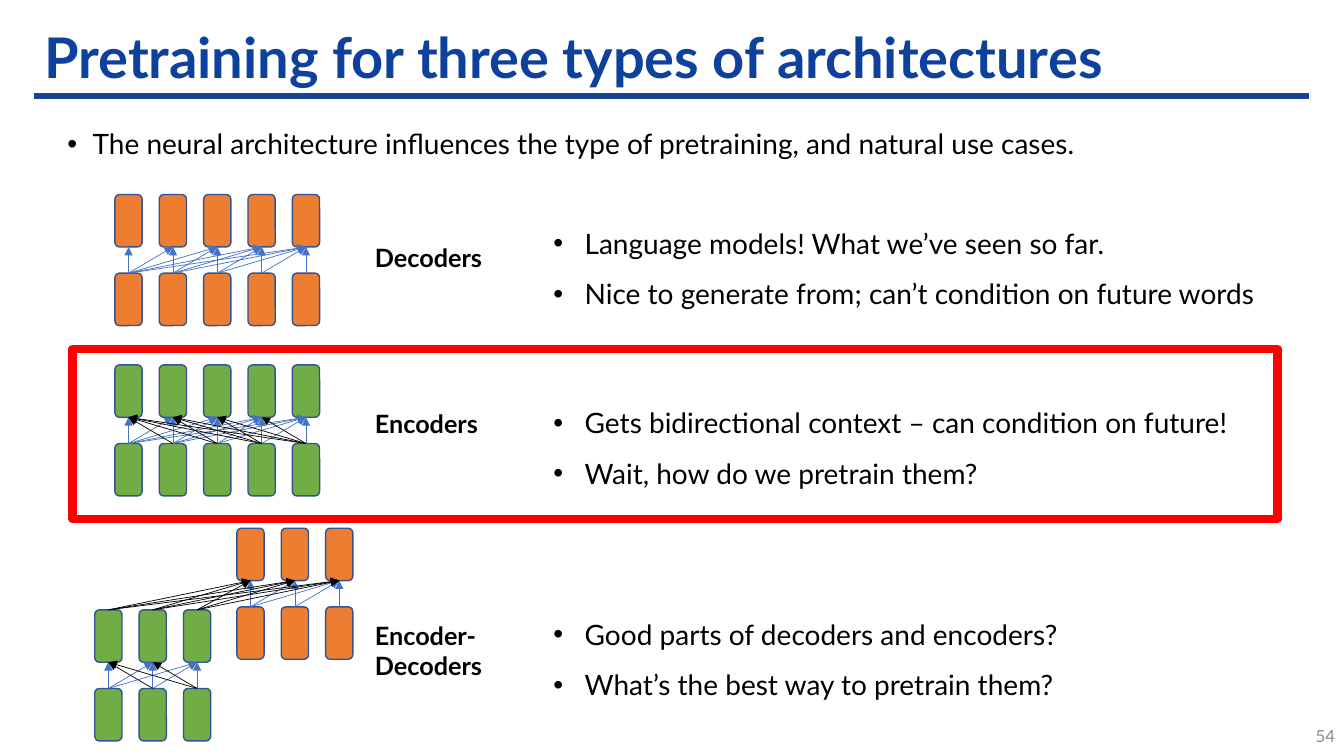
from lxml import etree
from pptx import Presentation
from pptx.dml.color import RGBColor
from pptx.enum.shapes import MSO_CONNECTOR, MSO_SHAPE
from pptx.enum.text import MSO_ANCHOR, PP_ALIGN
from pptx.oxml.ns import qn
from pptx.util import Inches, Pt

LINE = MSO_CONNECTOR.STRAIGHT
RECT = MSO_SHAPE.RECTANGLE
ROUND = MSO_SHAPE.ROUNDED_RECTANGLE
TOP, MIDDLE = MSO_ANCHOR.TOP, MSO_ANCHOR.MIDDLE
LEFT, RIGHT = PP_ALIGN.LEFT, PP_ALIGN.RIGHT
color = RGBColor.from_string

ORANGE, GREEN = "ED7D31", "70AD47"
BLUE, BLACK = "4472C4", "000000"
WIDE, TALL, STEP, RISE = 0.27, 0.52, 0.44, 0.78

deck = Presentation()
deck.slide_width, deck.slide_height = Inches(13.33), Inches(7.5)
slide = deck.slides.add_slide(deck.slide_layouts[6])
shapes = slide.shapes


def write(area, lines, size, hue=BLACK, bold=False, indent=0, space=1.0,
          anchor=TOP, align=LEFT):
    frame = shapes.add_textbox(*map(Inches, area)).text_frame
    frame.word_wrap = True
    frame.vertical_anchor = anchor
    frame.text = "\n".join(lines)
    for para in frame.paragraphs:
        para.alignment = align
        para.line_spacing = space
        if indent:
            props = para._p.get_or_add_pPr()
            props.set("marL", str(Inches(indent)))
            props.set("indent", str(-Inches(indent)))
            etree.SubElement(props, qn("a:buFont")).set("typeface", "Arial")
            etree.SubElement(props, qn("a:buChar")).set("char", "•")
        font = para.runs[0].font
        font.name, font.size, font.bold = "Lato", Pt(size), bold
        font.color.rgb = color(hue)


def arrow(x1, y1, x2, y2, hue):
    link = shapes.add_connector(LINE, *map(Inches, (x1, y1, x2, y2)))
    link.line.width = Pt(0.5)
    link.line.color.rgb = color(hue)
    etree.SubElement(link.line._get_or_add_ln(), qn("a:tailEnd")).set("type", "triangle")
    etree.SubElement(link._element.spPr, qn("a:effectLst"))


rule = shapes.add_shape(RECT, Inches(0.34), Inches(0.93), Inches(12.64), Inches(0.05))
rule.shadow.inherit = False
rule.fill.solid()
rule.fill.fore_color.rgb = color("174593")
rule.line.color.rgb = color("174593")
rule.line.width = Pt(1)

write((0.34, 0.26, 12.64, 0.67), ["Pretraining for three types of architectures"],
      40, "0E419C", bold=True, space=0.9, anchor=MIDDLE)
write((0.57, 1.21, 12.1, 0.53),
      ["The neural architecture influences the type of pretraining, and natural use cases."],
      20, indent=0.25)
write((12.67, 7.1, 0.67, 0.4), ["54"], 12, "8C8C8C", anchor=MIDDLE, align=RIGHT)

stacks = [
    (1.14, 1.93, 5, ORANGE, False),
    (1.14, 3.62, 5, GREEN, True),
    (2.35, 5.24, 3, ORANGE, False),
    (0.94, 6.05, 3, GREEN, True),
]
for left, top, count, fill, both in stacks:
    for row in range(2):
        for col in range(count):
            cell = shapes.add_shape(ROUND, Inches(left + col * STEP), Inches(top + row * RISE),
                                    Inches(WIDE), Inches(TALL))
            cell.shadow.inherit = False
            cell.fill.solid()
            cell.fill.fore_color.rgb = color(fill)
            cell.line.color.rgb = color("325491")
            cell.line.width = Pt(1)
    mids = [left + WIDE / 2 + col * STEP for col in range(count)]
    pairs = [(a, b, BLUE) for a in mids for b in mids if b >= a]
    if both:
        pairs += [(a, b, BLACK) for a in mids for b in mids if b < a]
    for start, end, hue in pairs:
        arrow(start, top + RISE, end, top + TALL, hue)

upper, lower = stacks[2], stacks[3]
for end in range(3):
    for start in range(3):
        arrow(lower[0] + WIDE / 2 + start * STEP, lower[1],
              upper[0] + WIDE / 2 + end * STEP, upper[1] + TALL, BLACK)

kinds = [
    ("Decoders", 2.36, 0.4, 2.03,
     ["Language models! What we’ve seen so far.",
      "Nice to generate from; can’t condition on future words"]),
    ("Encoders", 4, 0.4, 3.81,
     ["Gets bidirectional context – can condition on future!",
      "Wait, how do we pretrain them?"]),
    ("Encoder-Decoders", 6.1, 0.71, 5.91,
     ["Good parts of decoders and encoders?",
      "What’s the best way to pretrain them?"]),
]
for name, top, height, start, points in kinds:
    write((3.62, top, 1.41, height), [name], 18, bold=True)
    write((5.39, start, 7.42, 1.04), points, 20, indent=0.31, space=1.5)

focus = shapes.add_shape(RECT, Inches(0.72), Inches(3.46), Inches(11.95), Inches(1.69))
focus.shadow.inherit = False
focus.fill.background()
focus.line.color.rgb = color("FF0000")
focus.line.width = Pt(6)

deck.save("out.pptx")
